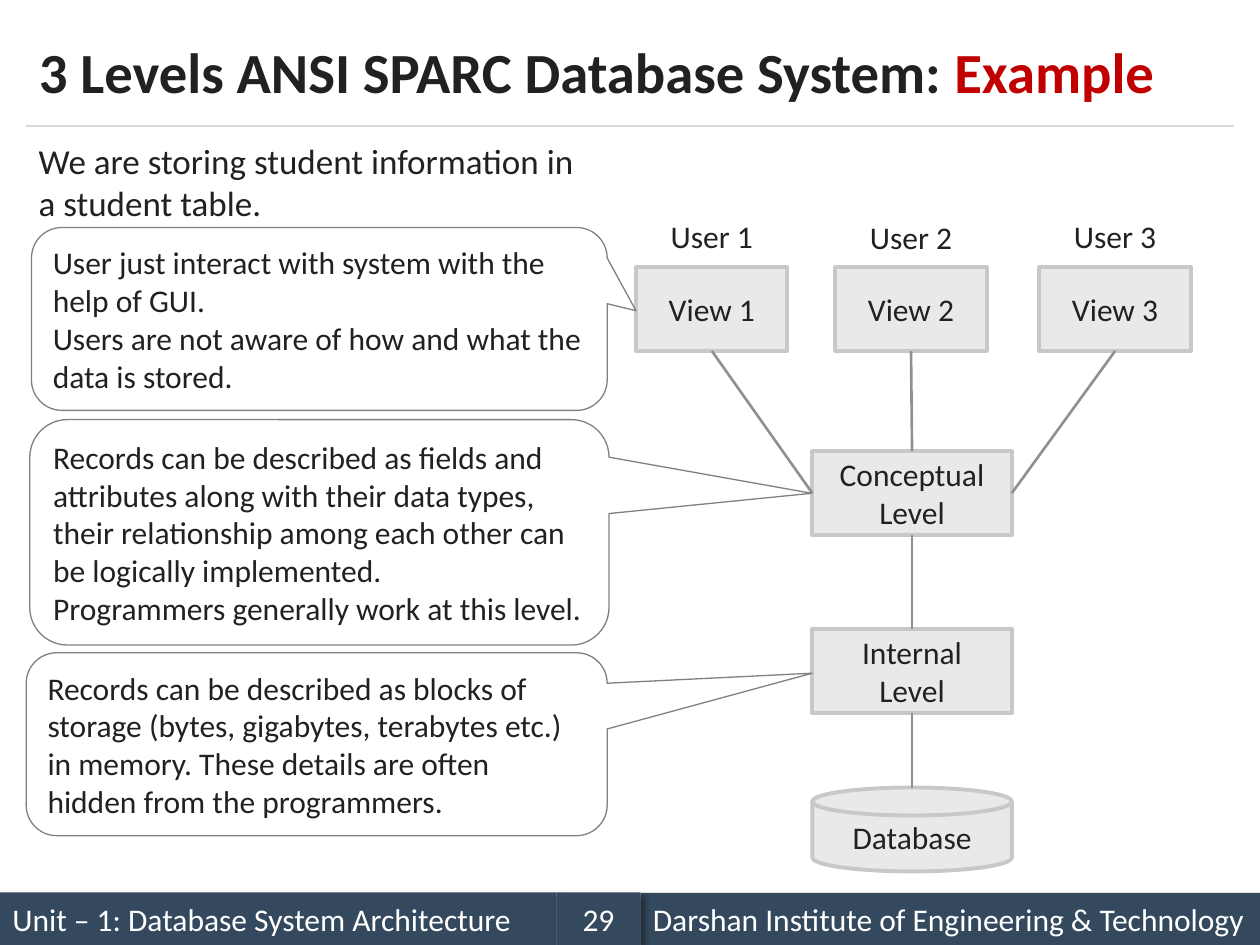
from dataclasses import dataclass

from lxml import etree
from pptx import Presentation
from pptx.dml.color import RGBColor
from pptx.enum import shapes, text
from pptx.oxml import ns
from pptx.util import Pt


@dataclass(frozen=True)
class Theme:
    font: str = "Calibri"
    title_size: float = 32.4
    lead_size: float = 20
    body_size: float = 18
    ink: str = "212121"
    accent: str = "C00000"
    light: str = "FFFFFF"
    footer: str = "34495E"
    rule: str = "D9D9D9"
    box_fill: str = "E9E9E9"
    box_line: str = "C8C8C8"
    link: str = "909090"
    callout_line: str = "808080"


def color(value):
    return RGBColor.from_string(value)


class SlideBuilder:
    def __init__(self, slide, theme):
        self.slide = slide
        self.theme = theme

    def set_text(self, shape, paragraphs, size=None, ink=None, align=text.PP_ALIGN.LEFT,
                 anchor=text.MSO_ANCHOR.MIDDLE, bold=False):
        """Each paragraph is a string or a list of (string, colour) runs."""
        frame = shape.text_frame
        for name, value in {"word_wrap": True, "vertical_anchor": anchor,
                            "auto_size": text.MSO_AUTO_SIZE.NONE}.items():
            setattr(frame, name, value)
        for index, content in enumerate(paragraphs):
            paragraph = frame.add_paragraph() if index else frame.paragraphs[0]
            paragraph.alignment = align
            runs = [(content, ink or self.theme.ink)] if isinstance(content, str) else content
            for words, run_color in runs:
                run = paragraph.add_run()
                run.text = words
                font_format = {"name": self.theme.font, "bold": bold,
                               "size": Pt(size or self.theme.body_size)}
                for name, value in font_format.items():
                    setattr(run.font, name, value)
                run.font.color.rgb = color(run_color)

    def title(self, box, runs):
        shape = self.slide.shapes.title
        for name, value in zip(("left", "top", "width", "height"), box):
            setattr(shape, name, Pt(value))
        self.set_text(shape, [runs], self.theme.title_size, bold=True)

    def label(self, box, words, **style):
        shape = self.slide.shapes.add_textbox(*map(Pt, box))
        self.set_text(shape, [words], anchor=text.MSO_ANCHOR.TOP, **style)

    def shape(self, kind, box, fill=None, line=None, line_width=0.75):
        shape = self.slide.shapes.add_shape(kind, *map(Pt, box))
        shape.shadow.inherit = False
        if fill:
            shape.fill.solid()
            shape.fill.fore_color.rgb = color(fill)
        else:
            shape.fill.background()
        if line:
            shape.line.color.rgb = color(line)
            shape.line.width = Pt(line_width)
        else:
            shape.line.fill.background()
        return shape

    def level(self, box, *lines, kind=shapes.MSO_SHAPE.RECTANGLE):
        shape = self.shape(kind, box, self.theme.box_fill, self.theme.box_line, 2.25)
        self.set_text(shape, lines, align=text.PP_ALIGN.CENTER)
        return shape

    def callout(self, box, tip, *lines):
        shape = self.shape(shapes.MSO_SHAPE.ROUNDED_RECTANGULAR_CALLOUT, box,
                           line=self.theme.callout_line)
        for index, value in enumerate((*tip, 0.167)):
            shape.adjustments[index] = value
        self.set_text(shape, lines)

    def footer(self, box, words, align=text.PP_ALIGN.LEFT):
        shape = self.shape(shapes.MSO_SHAPE.RECTANGLE, box, self.theme.footer)
        effects = shape._element.spPr.find(ns.qn("a:effectLst"))
        shadow = etree.SubElement(effects, ns.qn("a:outerShdw"), blurRad=str(Pt(4)),
                                  dist=str(Pt(3)), dir="2700000", rotWithShape="0")
        tint = etree.SubElement(shadow, ns.qn("a:srgbClr"), val="000000")
        etree.SubElement(tint, ns.qn("a:alpha"), val="40000")
        self.set_text(shape, [words], ink=self.theme.light, align=align)

    def line(self, start, end, line_color, width):
        connector = self.slide.shapes.add_connector(
            shapes.MSO_CONNECTOR.STRAIGHT, *map(Pt, (*start, *end)))
        connector.line.color.rgb = color(line_color)
        connector.line.width = Pt(width)
        etree.SubElement(connector._element.spPr, ns.qn("a:effectLst"))
        return connector

    def link(self, start=(0, 0), end=(0, 0), upper=None, lower=None, side=0):
        connector = self.line(start, end, self.theme.link, 1.5)
        if upper is not None:
            connector.begin_connect(upper, 2)
        if lower is not None:
            connector.end_connect(lower, side)


def main():
    presentation = Presentation()
    presentation.slide_width, presentation.slide_height = Pt(720), Pt(540)
    slide = presentation.slides.add_slide(presentation.slide_layouts[5])
    theme = Theme()
    builder = SlideBuilder(slide, theme)

    # Footer bar and title rule
    builder.footer((0, 510, 318, 30), "Unit – 1: Database System Architecture")
    builder.line((15, 72), (705, 72), theme.rule, 0.75)
    builder.footer((366, 510.3, 354, 30), "Darshan Institute of Engineering & Technology")
    builder.footer((318, 510, 48, 30), "29", text.PP_ALIGN.CENTER)

    # Title
    builder.title((15, 9, 690, 63), [("3 Levels ANSI SPARC Database System: ", theme.ink),
                                     ("Example", theme.accent)])

    # Users and their views
    view_width, level_height = 86.4, 48
    views = []
    for number, (left, label_top) in enumerate(((363.6, 120.2), (477.4, 121), (594, 120.2)), 1):
        views.append(builder.level((left, 152.6, view_width, level_height), f"View {number}"))
        builder.label((left + 7.2, label_top, 72, 29), f"User {number}",
                      align=text.PP_ALIGN.CENTER)

    # Conceptual and internal levels above the database
    level_left, level_width, database_top = 464.2, 114, 450
    conceptual = builder.level((level_left, 257.8, level_width, level_height),
                               "Conceptual", "Level")
    internal = builder.level((level_left, 359.3, level_width, level_height),
                             "Internal", "Level")
    builder.level((level_left, database_top, level_width, level_height), "Database",
                  kind=shapes.MSO_SHAPE.FLOWCHART_MAGNETIC_DISK)

    # Links between the levels
    for view, side in zip(views, (1, 0, 3)):
        builder.link(upper=view, lower=conceptual, side=side)
    builder.link(upper=conceptual, lower=internal)
    builder.link(end=(level_left + level_width / 2, database_top), upper=internal)

    # Explanations of each level
    builder.callout((15, 373, 332, 104.5), (0.853, -0.388),
                    "Records can be described as blocks of storage (bytes, gigabytes, "
                    "terabytes etc.) in memory. These details are often hidden from "
                    "the programmers.")
    builder.callout((17, 239.8, 331, 128.8), (0.85, -0.173),
                    "Records can be described as fields and attributes along with their "
                    "data types, their relationship among each other can be logically "
                    "implemented.",
                    "Programmers generally work at this level.")
    builder.callout((18, 130, 329, 104.5), (0.55, -0.045),
                    "User just interact with system with the help of GUI.",
                    "Users are not aware of how and what the data is stored.")
    builder.label((15, 76.3, 332, 55.7),
                  "We are storing student information in a student table.",
                  size=theme.lead_size)

    presentation.save("out.pptx")


if __name__ == "__main__":
    main()
